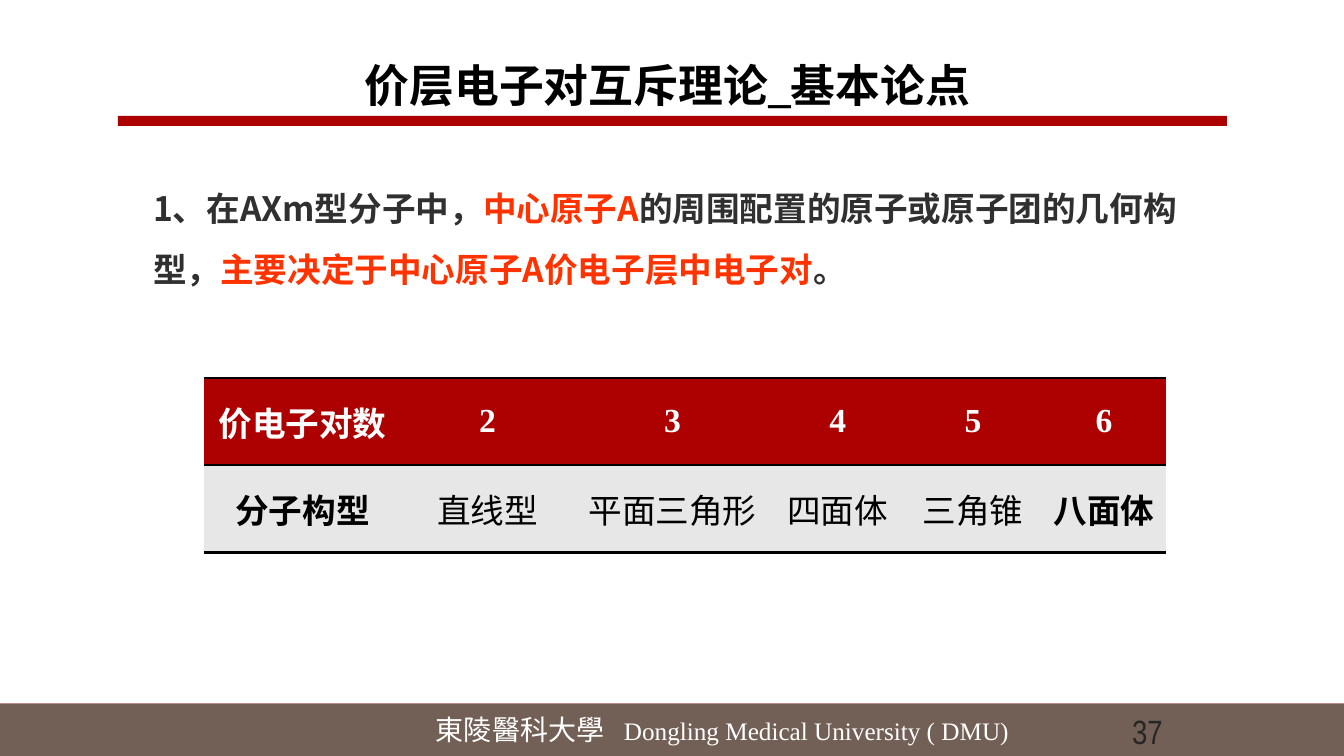
from lxml import etree
from pptx import Presentation, util as u
from pptx.dml.color import RGBColor
from pptx.enum import shapes, text
from pptx.oxml.ns import qn

RED, BROWN, GREY = "AD0101", "726056", "E7E7E7"
BLACK, WHITE, DARK, ORANGE = "000000", "FFFFFF", "303030", "FF3300"
ROMAN, SANS = "Times New Roman", "Noto Sans CJK SC"
MID, LOW = text.MSO_ANCHOR.MIDDLE, text.MSO_ANCHOR.BOTTOM
CENTER, RIGHT = text.PP_ALIGN.CENTER, text.PP_ALIGN.RIGHT


def rgb(code):
    return RGBColor.from_string(code)


def inches(box):
    return [u.Inches(n) for n in box]


def put(obj, look):
    for key, val in look.items():
        setattr(obj, key, val)


def write(par, words, color, size=24, name=ROMAN, bold=False):
    run = par.add_run()
    run.text = words
    put(run.font, {"size": u.Pt(size), "name": name, "bold": bold})
    run.font.color.rgb = rgb(color)
    # East Asian letters take their own font
    ea = etree.SubElement(run.font._element, qn("a:ea"))
    ea.set("typeface", SANS)


def bar(slide, box, color):
    shape = slide.shapes.add_shape(shapes.MSO_SHAPE.RECTANGLE, *inches(box))
    shape.shadow.inherit = False
    shape.fill.solid()
    shape.fill.fore_color.rgb = rgb(color)
    shape.line.fill.background()
    return shape


def label(slide, box):
    frame = slide.shapes.add_textbox(*inches(box)).text_frame
    put(frame, {"word_wrap": True, "vertical_anchor": MID})
    return frame.paragraphs[0]


def header(slide, box):
    # Title above a red rule
    left, top, width, height = box
    bar(slide, (left, top + height - 0.01, width, 0.1), RED)
    title = slide.shapes.title
    place = inches((left + 0.95, top, width - 2, height))
    put(title, dict(zip(("left", "top", "width", "height"), place)))
    put(title.text_frame, {"vertical_anchor": LOW, "word_wrap": True})
    par = title.text_frame.paragraphs[0]
    par.alignment = CENTER
    write(par, "价层电子对互斥理论_基本论点", BLACK, 32, bold=True)


def thesis(slide, box):
    # Statement with highlighted phrases
    par = label(slide, box)
    put(par, {"line_spacing": 1.5, "space_before": u.Pt(4.8)})
    for words, color in (
        ("1、在AXm型分子中，", DARK),
        ("中心原子A", ORANGE),
        ("的周围配置的原子或原子团的几何构型，", DARK),
        ("主要决定于中心原子A价电子层中电子对", ORANGE),
        ("。", DARK),
    ):
        write(par, words, color, name=SANS, bold=True)


def edge(cell, sides):
    # Borders come before the fill in the cell properties
    props = cell._tc.get_or_add_tcPr()
    for spot, side in enumerate(sides):
        line = etree.Element(qn("a:" + side), w=str(u.Pt(2)))
        fill = etree.SubElement(line, qn("a:solidFill"))
        etree.SubElement(fill, qn("a:srgbClr"), val=BLACK)
        props.insert(spot, line)


def grid(slide, box):
    # Pair counts and the matching shapes
    rows = (
        ("价电子对数", "2", "3", "4", "5", "6"),
        ("分子构型", "直线型", "平面三角形", "四面体", "三角锥", "八面体"),
    )
    widths = (1.96, 1.71, 1.96, 1.32, 1.36, 1.24)
    table = slide.shapes.add_table(2, len(widths), *inches(box)).table
    put(table, {"first_row": False, "horz_banding": False})
    style = table._tbl.tblPr.find(qn("a:tableStyleId"))
    style.text = "{2D5ABB26-0587-4C30-8999-92F81FD0307C}"
    for col, width in zip(table.columns, widths):
        col.width = u.Inches(width)
    for r, row in enumerate(rows):
        for c, words in enumerate(row):
            cell = table.cell(r, c)
            cell.vertical_anchor = MID
            cell.fill.solid()
            cell.fill.fore_color.rgb = rgb(GREY if r else RED)
            edge(cell, ("lnT", "lnB"))
            par = cell.text_frame.paragraphs[0]
            par.alignment = CENTER
            bold = r == 0 or c in (0, len(row) - 1)
            write(par, words, BLACK if r else WHITE, bold=bold)


def footer(slide, box):
    # Brown band with school name and page number
    left, top, width, height = box
    bar(slide, (left, top, width, 0.05), RED)
    frame = bar(slide, box, BROWN).text_frame
    put(frame, {"vertical_anchor": MID, "margin_left": u.Inches(1.1)})
    par = frame.paragraphs[0]
    par.alignment = CENTER
    write(par, "東陵醫科大學", WHITE, 20, SANS)
    write(par, "　", WHITE, 14, SANS)
    write(par, "Dongling Medical University ( DMU)", WHITE, 18)
    page = label(slide, (left + 9.3, top + 0.02, 2.33, 0.5))
    page.alignment = RIGHT
    write(page, "37", "262626", 24, "Arial Narrow")


def main():
    deck = Presentation()
    put(deck, {"slide_width": u.Inches(13.33), "slide_height": u.Inches(7.5)})
    slide = deck.slides.add_slide(deck.slide_layouts[5])
    header(slide, (1.17, 0.44, 11, 0.72))
    thesis(slide, (1.42, 1.54, 10.6, 1.45))
    grid(slide, (2.02, 3.75, 9.55, 1.73))
    footer(slide, (0, 6.98, 13.33, 0.52))
    deck.save("out.pptx")


if __name__ == "__main__":
    main()
